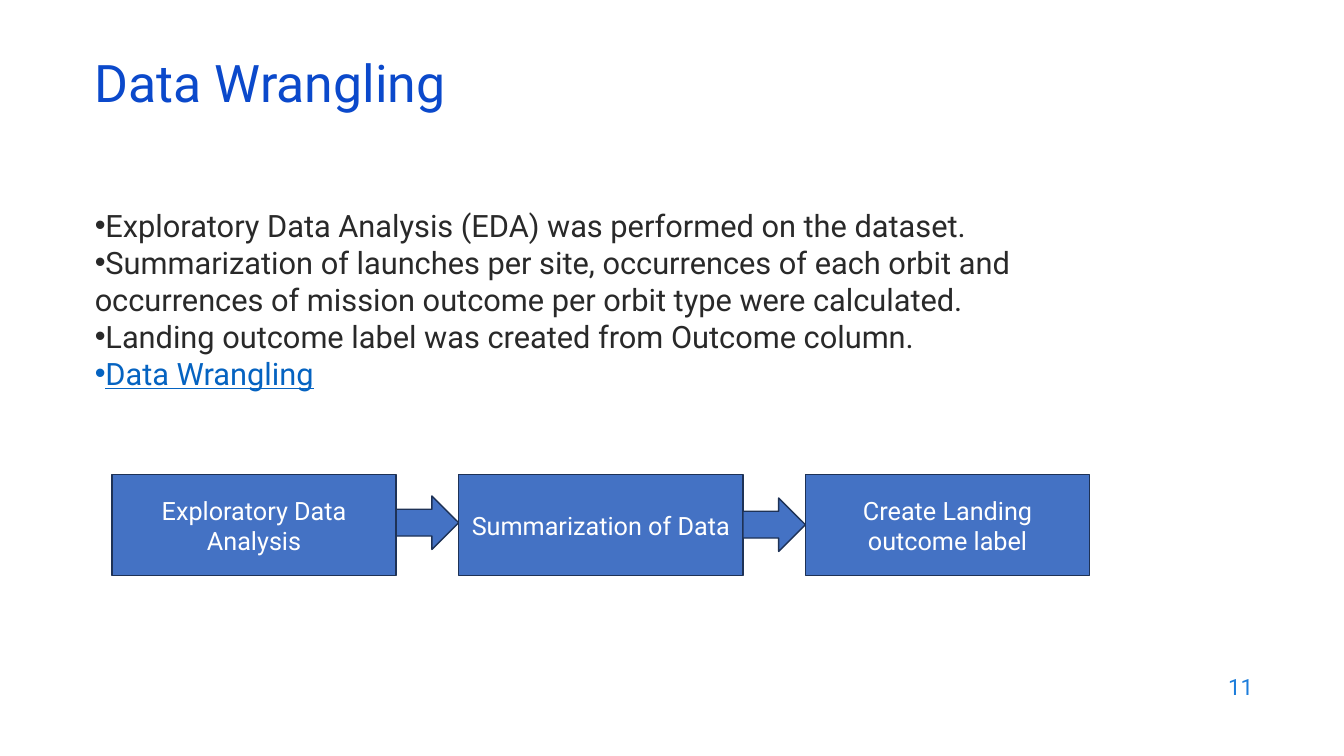
from dataclasses import dataclass

from lxml import etree
from pptx import Presentation, util as u
from pptx.dml.color import RGBColor
from pptx.enum import shapes, text
from pptx.oxml.ns import qn

FONT = "Roboto"
TITLE_BLUE = RGBColor(0x0B, 0x49, 0xCB)
NUMBER_BLUE = RGBColor(0x1C, 0x7D, 0xDB)
LINK_BLUE = RGBColor(0x05, 0x63, 0xC1)
INK = RGBColor(0x29, 0x29, 0x29)
STEP_FILL = RGBColor(0x44, 0x72, 0xC4)
STEP_LINE = RGBColor(0x1E, 0x32, 0x56)
WHITE = RGBColor(0xFF, 0xFF, 0xFF)

WIDTH, HEIGHT = u.Inches(13.33), u.Inches(7.5)
COLUMN, ROW = WIDTH / 100, HEIGHT / 100


@dataclass(frozen=True)
class Area:
    column: float
    row: float
    columns: float
    rows: float

    def box(self) -> tuple[int, int, int, int]:
        return (round(self.column * COLUMN), round(self.row * ROW),
                round(self.columns * COLUMN), round(self.rows * ROW))


@dataclass(frozen=True)
class Finding:
    words: str
    color: RGBColor = INK
    underlined: bool = False


@dataclass(frozen=True)
class Step:
    words: str
    arrow_row: float | None = None


FINDINGS = [
    Finding("Exploratory Data Analysis (EDA) was performed on the dataset."),
    Finding("Summarization of launches per site, occurrences of each orbit and "
            "occurrences of mission outcome per orbit type were calculated."),
    Finding("Landing outcome label was created from Outcome column."),
    Finding("Data Wrangling", LINK_BLUE, True),
]
STEPS = [
    Step("Exploratory Data Analysis", 65.6),
    Step("Summarization of Data", 65.87),
    Step("Create Landing outcome label"),
]
STEP_LEFT, STEP_TOP, STEP_COLUMNS, STEP_ROWS = 8.33, 62.8, 21.15, 13.33
ARROW_COLUMNS, ARROW_ROWS = 4.65, 7.07


def place(shape, area: Area) -> None:
    shape.left, shape.top, shape.width, shape.height = area.box()


def style(paragraph, size: float, color: RGBColor, align=text.PP_ALIGN.LEFT) -> None:
    paragraph.alignment = align
    paragraph.font.name = FONT
    paragraph.font.size = u.Pt(size)
    paragraph.font.color.rgb = color


def set_frame(frame, anchor) -> None:
    frame.word_wrap = True
    frame.auto_size = text.MSO_AUTO_SIZE.NONE
    frame.vertical_anchor = anchor


def add_bullet(paragraph) -> None:
    properties = paragraph._p.get_or_add_pPr()
    properties.set("marL", "0")
    properties.set("indent", "0")
    etree.SubElement(properties, qn("a:buFont")).set("typeface", "Arial")
    etree.SubElement(properties, qn("a:buChar")).set("char", "•")


def write_title(title) -> None:
    place(title, Area(6.3, 7.87, 86.27, 8))
    set_frame(title.text_frame, text.MSO_ANCHOR.MIDDLE)
    title.text_frame.text = "Data Wrangling"
    heading = title.text_frame.paragraphs[0]
    style(heading, 37, TITLE_BLUE)
    heading.line_spacing = 0.7


def write_findings(body) -> None:
    place(body, Area(6.3, 26.67, 73.67, 63.47))
    frame = body.text_frame
    set_frame(frame, text.MSO_ANCHOR.TOP)
    frame.text = "\n".join(finding.words for finding in FINDINGS)
    for paragraph, finding in zip(frame.paragraphs, FINDINGS):
        add_bullet(paragraph)
        style(paragraph, 22, finding.color)
        paragraph.space_before = u.Pt(0)
        paragraph.line_spacing = 1.0
        if finding.underlined:
            paragraph.font.underline = True


def add_block(slide, preset, area: Area):
    block = slide.shapes.add_shape(preset, *area.box())
    block.shadow.inherit = False
    block.fill.solid()
    block.fill.fore_color.rgb = STEP_FILL
    block.line.color.rgb = STEP_LINE
    block.line.width = u.Pt(1)
    return block


def add_steps(slide) -> None:
    for index, step in enumerate(STEPS):
        left = STEP_LEFT + index * (STEP_COLUMNS + ARROW_COLUMNS)
        block = add_block(slide, shapes.MSO_SHAPE.RECTANGLE,
                          Area(left, STEP_TOP, STEP_COLUMNS, STEP_ROWS))
        set_frame(block.text_frame, text.MSO_ANCHOR.MIDDLE)
        block.text_frame.text = step.words
        style(block.text_frame.paragraphs[0], 18, WHITE, text.PP_ALIGN.CENTER)
        if step.arrow_row is not None:
            add_block(slide, shapes.MSO_SHAPE.RIGHT_ARROW,
                      Area(left + STEP_COLUMNS, step.arrow_row, ARROW_COLUMNS, ARROW_ROWS))


def add_page_number(slide) -> None:
    number = slide.shapes.add_textbox(*Area(71.49, 87.87, 22.5, 5.87).box())
    set_frame(number.text_frame, text.MSO_ANCHOR.MIDDLE)
    number.text_frame.text = "11"
    style(number.text_frame.paragraphs[0], 16, NUMBER_BLUE, text.PP_ALIGN.RIGHT)


def main() -> None:
    deck = Presentation()
    deck.slide_width, deck.slide_height = WIDTH, HEIGHT
    slide = deck.slides.add_slide(deck.slide_layouts[1])
    write_title(slide.shapes.title)
    write_findings(slide.placeholders[1])
    add_steps(slide)
    add_page_number(slide)
    deck.save("out.pptx")


if __name__ == "__main__":
    main()
